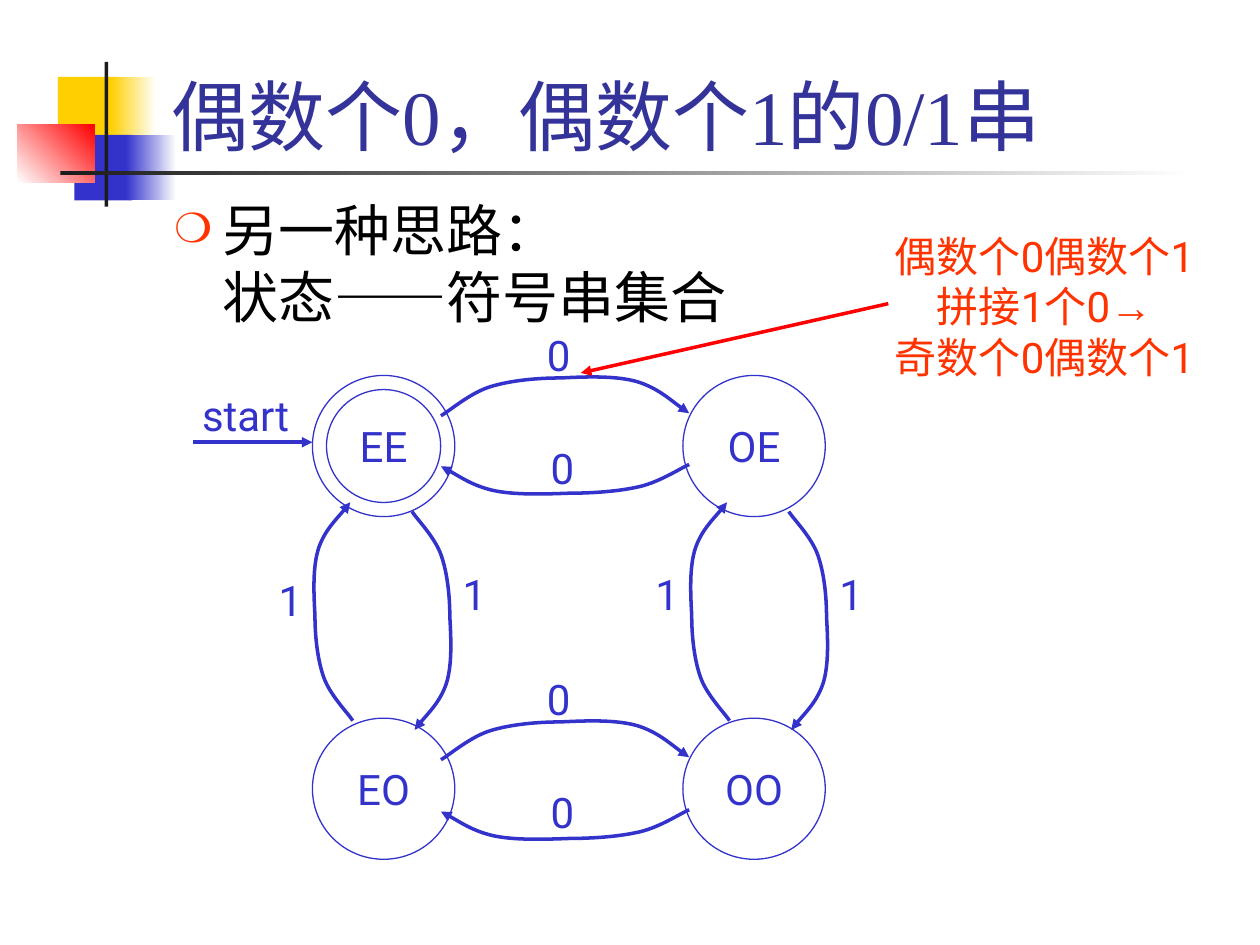
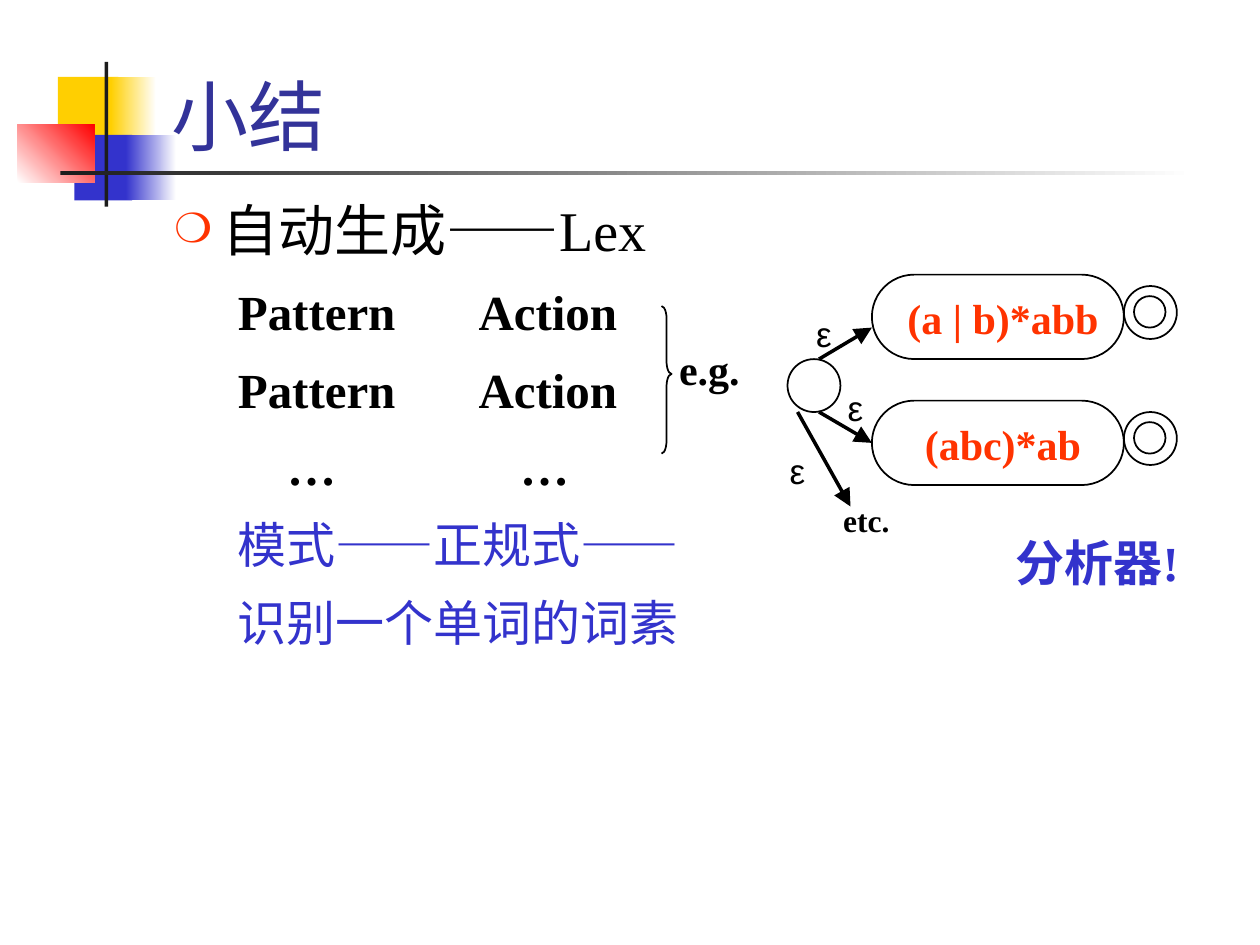
from lxml.etree import SubElement
from pptx import Presentation
from pptx.dml.color import RGBColor
from pptx.enum.shapes import MSO_CONNECTOR, MSO_SHAPE
from pptx.enum.text import MSO_ANCHOR, MSO_AUTO_SIZE, PP_ALIGN
from pptx.oxml.ns import qn
from pptx.util import Inches, Pt

BLUE = RGBColor(0x33, 0x33, 0xCC)
NAVY = RGBColor(0x33, 0x33, 0x99)
GOLD = RGBColor(0xFF, 0xCF, 0x01)
RED = RGBColor(0xFF, 0x00, 0x00)
ORANGE = RGBColor(0xFF, 0x33, 0x00)
INK = RGBColor(0x1C, 0x1C, 0x1C)
BLACK = RGBColor(0, 0, 0)
WHITE = RGBColor(0xFF, 0xFF, 0xFF)
SERIF, SANS, ROBOTO = "Times New Roman", "Arial", "Roboto"

BANDS = [
    ((0.46, 0.61, 0.48, 0.52), (GOLD,), 0),
    ((0.88, 0.61, 0.36, 0.52), (GOLD, WHITE), 0),
    ((0.59, 1.07, 0.46, 0.52), (BLUE,), 0),
    ((1, 1.07, 0.4, 0.52), (BLUE, WHITE), 0),
    ((0.14, 0.99, 0.61, 0.46), (WHITE, RED), 45),
    ((0.83, 0.49, 0.03, 1.15), (INK,), 0),
    ((0.48, 1.36, 9, 0.03), (INK, WHITE), 0),
]

STATES = [
    ("EE", 2.48, 2.98, MSO_SHAPE.DONUT),
    ("OE", 5.42, 2.98, MSO_SHAPE.OVAL),
    ("EO", 2.48, 5.7, MSO_SHAPE.OVAL),
    ("OO", 5.42, 5.7, MSO_SHAPE.OVAL),
]
BEND = [(0, 0.32), (0.07, 0.28), (0.23, 0.14), (0.39, 0.09), (0.55, 0.04),
        (0.76, 0.02), (0.95, 0.02), (1.15, 0.01), (1.39, 0), (1.56, 0.05),
        (1.72, 0.1), (1.89, 0.25), (1.97, 0.3)]
EAST = (1, 0), (0, 1)
WEST = (-1, 0), (0, -0.76)
SOUTH = (0, 0.88), (-1, 0)
NORTH = (0, -0.88), (1, 0)
MOVES = [
    ("0", (3.5, 2.98), EAST, (4.1, 2.57)),
    ("0", (3.5, 5.71), EAST, (4.1, 5.3)),
    ("0", (5.47, 3.93), WEST, (4.13, 3.46)),
    ("0", (5.47, 6.67), WEST, (4.13, 6.19)),
    ("1", (3.59, 4.06), SOUTH, (3.43, 4.46)),
    ("1", (6.58, 4.06), SOUTH, (6.42, 4.46)),
    ("1", (2.48, 5.72), NORTH, (1.97, 4.51)),
    ("1", (5.47, 5.72), NORTH, (4.96, 4.46)),
]
NOTE = [("偶数个0偶数个1\v拼接1个0", ROBOTO), ("→", SANS), ("\v奇数个0偶数个1", ROBOTO)]

RULES = [
    ("\tPattern\tAction", (0.5, 2.41)),
    ("\tPattern\tAction", (0.5, 2.41)),
    ("\t…\t…", (0.89, 2.74)),
]
MEANING = ["模式——正规式——", "识别一个单词的词素"]
TAGS = [
    ("e.g.", (5.17, 2.68, 0.92, 0.5), 24, SERIF, BLACK, True),
    ("ε", (6.25, 2.43, 0.58, 0.44), 20, SANS, BLACK, False),
    ("ε", (6.5, 3.02, 0.58, 0.44), 20, SANS, BLACK, False),
    ("ε", (6.08, 3.52, 0.5, 0.44), 20, SANS, BLACK, False),
    ("etc.", (6.25, 3.93, 1.25, 0.4), 18, SERIF, BLACK, True),
    ("分析器!", (7.67, 4.18, 2.08, 0.57), 28, SERIF, BLUE, True),
]
LANES = [("(a | b)*abb", 2.18), ("(abc)*ab", 3.18)]


def style(para, size, name, color, bold=False):
    font = para.font
    font.size, font.name, font.bold = Pt(size), name, bold
    font.color.rgb = color


def outline(shape, color, width):
    shape.shadow.inherit = False
    shape.fill.background()
    shape.line.color.rgb = color
    shape.line.width = Pt(width)


def ring(slide, kind, at, color, width):
    shape = slide.shapes.add_shape(kind, *map(Inches, at))
    outline(shape, color, width)
    return shape


def tip(shape, size="med"):
    SubElement(shape.line._get_or_add_ln(), qn("a:tailEnd"), type="triangle", w=size, len=size)


def arrow(slide, start, end, color, size="med"):
    line = slide.shapes.add_connector(MSO_CONNECTOR.STRAIGHT, *map(Inches, start + end))
    line.line.color.rgb = color
    line.line.width = Pt(2)
    tip(line, size)
    SubElement(line._element.spPr, qn("a:effectLst"))
    return line


def frame(slide, at):
    text = slide.shapes.add_textbox(*map(Inches, at)).text_frame
    text.word_wrap = True
    return text


def label(slide, words, at, size, name, color, bold=False):
    para = frame(slide, at).paragraphs[0]
    para.text = words
    para.alignment = PP_ALIGN.CENTER
    style(para, size, name, color, bold)


def bend(slide, origin, axes):
    (ax, ay), (bx, by) = axes
    knots = [(Inches(origin[0] + x * ax + y * bx), Inches(origin[1] + x * ay + y * by))
             for x, y in BEND]
    pen = slide.shapes.build_freeform(*knots[0])
    pen.add_line_segments(knots[1:], close=False)
    curve = pen.convert_to_shape()
    legs = list(curve.element.iter(qn("a:lnTo")))
    track = legs[0].getparent()
    for i in range(0, len(legs), 3):
        cubic = SubElement(track, qn("a:cubicBezTo"))
        for leg in legs[i:i + 3]:
            cubic.append(leg[0])
            track.remove(leg)
    outline(curve, BLUE, 2)
    tip(curve)


def bullet(para, words):
    para.text = words
    style(para, 32, SERIF, BLACK)
    props = para._p.get_or_add_pPr()
    props.set("marL", str(Inches(0.38)))
    props.set("indent", str(-Inches(0.38)))
    mark = SubElement(props, qn("a:buClr"))
    SubElement(mark, qn("a:srgbClr"), val=str(ORANGE))
    SubElement(props, qn("a:buSzPct"), val="75000")
    SubElement(props, qn("a:buFont"), typeface=SERIF)
    SubElement(props, qn("a:buChar"), char="❍")
    props.append(props.find(qn("a:defRPr")))


def row(text, words):
    para = text.add_paragraph()
    para.text = words
    para.line_spacing = 0.8
    para.space_before = Pt(17.5)
    return para, para._p.get_or_add_pPr()


def dress(slide):
    base = slide.slide_layout.shapes.element
    for spot, (at, colors, angle) in enumerate(BANDS, 2):
        band = slide.shapes.add_shape(MSO_SHAPE.RECTANGLE, *map(Inches, at))
        band.shadow.inherit = False
        band.line.fill.background()
        if len(colors) == 1:
            band.fill.solid()
            band.fill.fore_color.rgb = colors[0]
        else:
            band.fill.gradient()
            band.fill.gradient_angle = angle
            for stop, color in zip(band.fill.gradient_stops, colors):
                stop.color.rgb = color
        band.element.nvSpPr.cNvPr.set("id", str(100 + spot))
        base.insert(spot, band.element)


def start(deck, words):
    slide = deck.slides.add_slide(deck.slide_layouts[5])
    title = slide.shapes.title
    title.left, title.top, title.width, title.height = map(Inches, (1.26, 0.08, 8.52, 1.25))
    text = title.text_frame
    text.text = words
    text.auto_size = MSO_AUTO_SIZE.NONE
    text.vertical_anchor = MSO_ANCHOR.BOTTOM
    text.paragraphs[0].alignment = PP_ALIGN.LEFT
    style(text.paragraphs[0], 44, SERIF, NAVY)
    return slide


def states(deck):
    slide = start(deck, "偶数个0，偶数个1的0/1串")
    dress(slide)
    bullet(frame(slide, (1.29, 1.5, 8.5, 5.17)).paragraphs[0], "另一种思路：\v状态——符号串集合")
    for name, x, y, kind in STATES:
        node = ring(slide, kind, (x, y, 1.13, 1.12), BLUE, 0.75)
        if kind == MSO_SHAPE.DONUT:
            node.adjustments[0] = 0.1
        text = node.text_frame
        text.text = name
        text.word_wrap = False
        text.vertical_anchor = MSO_ANCHOR.MIDDLE
        text.paragraphs[0].alignment = PP_ALIGN.CENTER
        style(text.paragraphs[0], 24, ROBOTO, BLUE)
    for sign, origin, axes, spot in MOVES:
        bend(slide, origin, axes)
        label(slide, sign, spot + (0.67, 0.5), 24, ROBOTO, BLUE)
    arrow(slide, (1.53, 3.51), (2.48, 3.51), BLUE)
    label(slide, "start", (1.46, 3.04, 0.98, 0.5), 24, ROBOTO, BLUE)
    para = frame(slide, (6.89, 1.78, 2.8, 2.1)).paragraphs[0]
    para.alignment = PP_ALIGN.CENTER
    style(para, 24, ROBOTO, ORANGE)
    for words, name in NOTE:
        for i, part in enumerate(words.split("\v")):
            if i:
                para.add_line_break()
            if part:
                run = para.add_run()
                run.text = part
                run.font.name = name
    arrow(slide, (7.05, 2.41), (4.61, 2.96), RED)


def summary(deck):
    slide = start(deck, "小结")
    text = frame(slide, (1.29, 1.5, 8.5, 6))
    bullet(text.paragraphs[0], "自动生成——Lex")
    for words, stops in RULES:
        para, props = row(text, words)
        tabs = SubElement(props, qn("a:tabLst"))
        for stop in stops:
            SubElement(tabs, qn("a:tab"), pos=str(Inches(stop)), algn="l")
        style(para, 28, SERIF, BLACK, True)
    for words in MEANING:
        para, props = row(text, words)
        props.set("marL", str(Inches(0.5)))
        style(para, 28, SERIF, BLUE)
    brace = ring(slide, MSO_SHAPE.RIGHT_BRACE, (5.25, 2.43, 0.08, 1.17), BLACK, 1)
    brace.adjustments[0], brace.adjustments[1] = 1.25, 0.46
    ring(slide, MSO_SHAPE.OVAL, (6.25, 2.85, 0.42, 0.42), BLACK, 1)
    for words, y in LANES:
        lane = ring(slide, MSO_SHAPE.ROUNDED_RECTANGLE, (6.92, y, 2, 0.67), BLACK, 1)
        lane.adjustments[0] = 0.5
        ring(slide, MSO_SHAPE.OVAL, (8.92, y + 0.09, 0.42, 0.42), BLACK, 1)
        ring(slide, MSO_SHAPE.OVAL, (9, y + 0.17, 0.25, 0.25), BLACK, 1)
        label(slide, words, (7, y + 0.09, 1.92, 0.5), 24, SERIF, ORANGE, True)
    arrow(slide, (6.5, 2.85), (6.92, 2.6), BLACK, "lg")
    arrow(slide, (6.5, 3.27), (6.92, 3.52), BLACK, "lg").end_connect(lane, 1)
    arrow(slide, (6.33, 3.27), (6.75, 4.02), BLACK, "lg")
    for tag in TAGS:
        label(slide, *tag)


def main():
    deck = Presentation()
    deck.slide_width, deck.slide_height = Inches(10), Inches(7.5)
    states(deck)
    summary(deck)
    deck.save("out.pptx")


if __name__ == "__main__":
    main()
